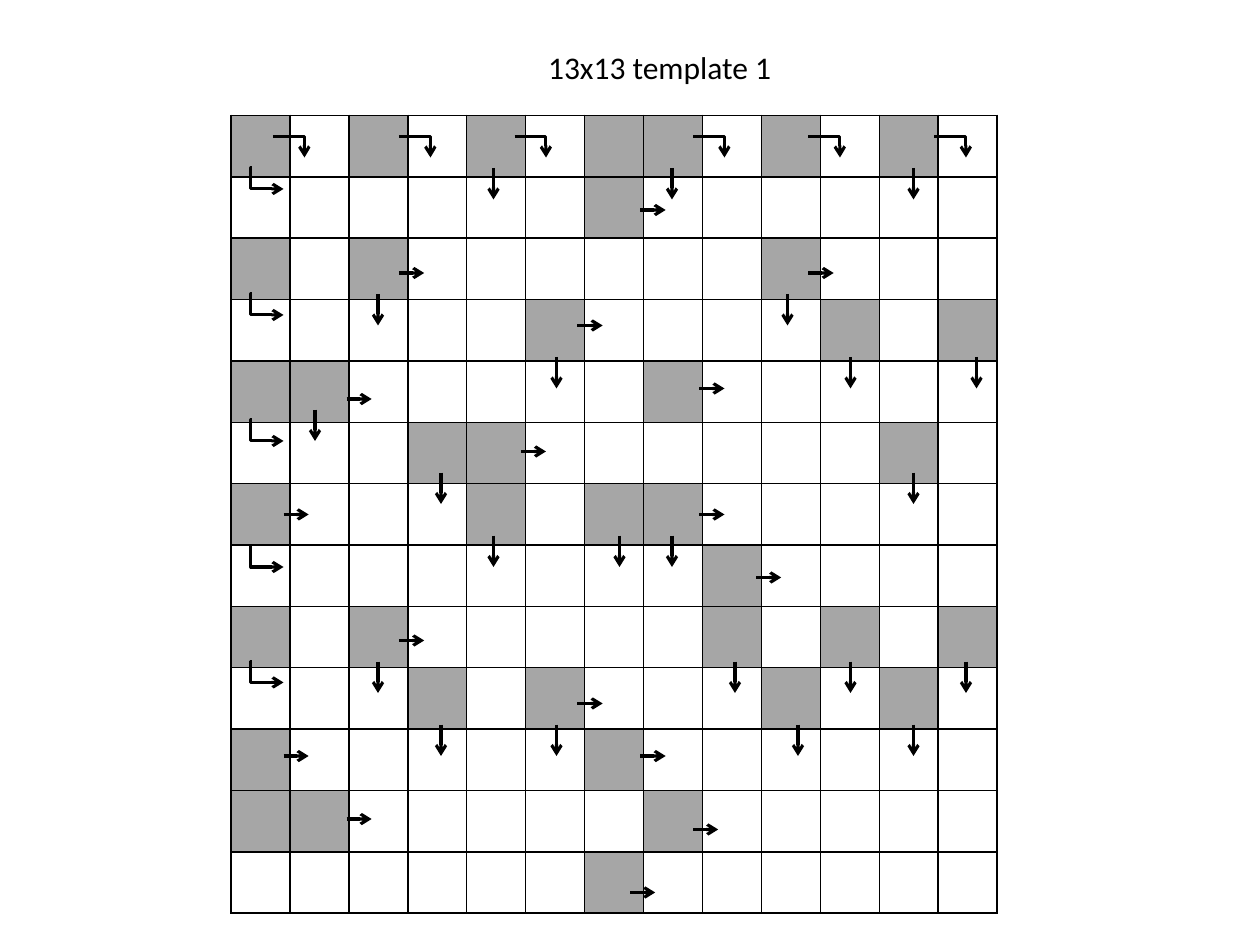
from dataclasses import dataclass

from lxml import etree
from pptx import Presentation
from pptx.dml.color import RGBColor
from pptx.enum.shapes import MSO_CONNECTOR
from pptx.enum.text import MSO_ANCHOR, MSO_AUTO_SIZE, PP_ALIGN
from pptx.oxml.ns import qn
from pptx.slide import Slide
from pptx.util import Inches, Length, Pt

STRAIGHT, ELBOW = MSO_CONNECTOR.STRAIGHT, MSO_CONNECTOR.ELBOW
TOP, LEFT = MSO_ANCHOR.TOP, PP_ALIGN.LEFT
FIT_SHAPE = MSO_AUTO_SIZE.SHAPE_TO_FIT_TEXT
UNITS_PER_INCH = 12


@dataclass(frozen=True)
class Theme:
    ink: str = "000000"
    paper: str = "FFFFFF"
    clue: str = "A6A6A6"
    font: str = "Calibri"
    title_size: float = 18
    border_width: float = 1
    arrow_width: float = 1.75


@dataclass(frozen=True)
class ArrowGroup:
    connector: MSO_CONNECTOR
    columns: float
    rows: float
    starts: list[tuple[float, float]]
    bend: int | None = None


THEME = Theme()

CROSSWORD = [
    "#.#.#.##.#.#.",
    "......#......",
    "#.#......#...",
    ".....#....#.#",
    "##.....#.....",
    "...##......#.",
    "#...#.##.....",
    "........#....",
    "#.#.....#.#.#",
    "...#.#...#.#.",
    "#.....#......",
    "##.....#.....",
    "......#......",
]

ARROW_GROUPS = [
    ArrowGroup(STRAIGHT, 2.4, 0, [
        (61, 20), (38, 26), (77, 26), (55, 31), (66.6, 37), (33, 38),
        (49.6, 43), (27, 49), (66.6, 49), (72, 55), (38, 61), (55, 67),
        (27, 72), (61, 72), (33, 78), (66, 79), (60, 85),
    ]),
    ArrowGroup(STRAIGHT, 0, 3, [
        (47, 16), (64, 16), (87, 16), (36, 28), (75, 28), (53, 34),
        (81, 34), (93, 34), (30, 39), (42, 45), (87, 45), (47, 51),
        (59, 51), (64, 51), (36, 63), (70, 63), (81, 63), (92, 63),
        (42, 69), (53, 69), (76, 69), (87, 69),
    ]),
    ArrowGroup(ELBOW, 3, 2, [(24, row) for row in (16, 28, 40, 52, 63)], -3900),
    ArrowGroup(ELBOW, 3, 2, [(column, 13) for column in (26, 38, 49, 66, 77, 89)], 99400),
]


def grid(units: float) -> Length:
    return Inches(units / UNITS_PER_INCH)


def apply_format(target: object, values: dict[str, object]) -> None:
    for name, value in values.items():
        setattr(target, name, value)


def add_title(slide: Slide, text: str) -> None:
    title = slide.shapes.title
    apply_format(title, {"left": grid(51), "top": grid(4),
                         "width": Inches(1.99), "height": Inches(0.4)})
    frame = title.text_frame
    frame.text = text
    apply_format(frame, {"word_wrap": False, "auto_size": FIT_SHAPE,
                         "vertical_anchor": TOP})
    paragraph = frame.paragraphs[0]
    paragraph.alignment = LEFT
    font = paragraph.runs[0].font
    apply_format(font, {"name": THEME.font, "size": Pt(THEME.title_size)})
    font.color.rgb = RGBColor.from_string(THEME.ink)


def add_borders(cell_properties: etree.ElementBase) -> None:
    for side in ("lnL", "lnR", "lnT", "lnB"):
        border = etree.SubElement(cell_properties, qn(f"a:{side}"),
                                  w=str(Pt(THEME.border_width)))
        fill = etree.SubElement(border, qn("a:solidFill"))
        etree.SubElement(fill, qn("a:srgbClr"), val=THEME.ink)


def add_crossword(slide: Slide, pattern: list[str]) -> None:
    table = slide.shapes.add_table(len(pattern), len(pattern[0]), grid(22),
                                   grid(11), grid(73), grid(76)).table
    apply_format(table, {"first_row": False, "horz_banding": False})
    for row, marks in enumerate(pattern):
        for column, mark in enumerate(marks):
            cell = table.cell(row, column)
            add_borders(cell._tc.get_or_add_tcPr())
            cell.fill.solid()
            color = THEME.clue if mark == "#" else THEME.paper
            cell.fill.fore_color.rgb = RGBColor.from_string(color)


def add_arrows(slide: Slide, group: ArrowGroup) -> None:
    for column, row in group.starts:
        arrow = slide.shapes.add_connector(
            group.connector, grid(column), grid(row),
            grid(column + group.columns), grid(row + group.rows))
        arrow.line.width = Pt(THEME.arrow_width)
        arrow.line.color.rgb = RGBColor.from_string(THEME.ink)
        properties = arrow._element.spPr
        etree.SubElement(properties.find(qn("a:ln")), qn("a:tailEnd"), type="arrow")
        etree.SubElement(properties, qn("a:effectLst"))
        if group.bend is not None:
            adjustments = properties.find(f"{qn('a:prstGeom')}/{qn('a:avLst')}")
            etree.SubElement(adjustments, qn("a:gd"), name="adj1",
                             fmla=f"val {group.bend}")


def main() -> None:
    presentation = Presentation()
    apply_format(presentation, {"slide_width": Inches(10), "slide_height": Inches(7.5)})
    slide = presentation.slides.add_slide(presentation.slide_layouts[5])
    add_title(slide, "13x13 template 1")
    add_crossword(slide, CROSSWORD)
    for group in ARROW_GROUPS:
        add_arrows(slide, group)
    presentation.save("out.pptx")


main()
